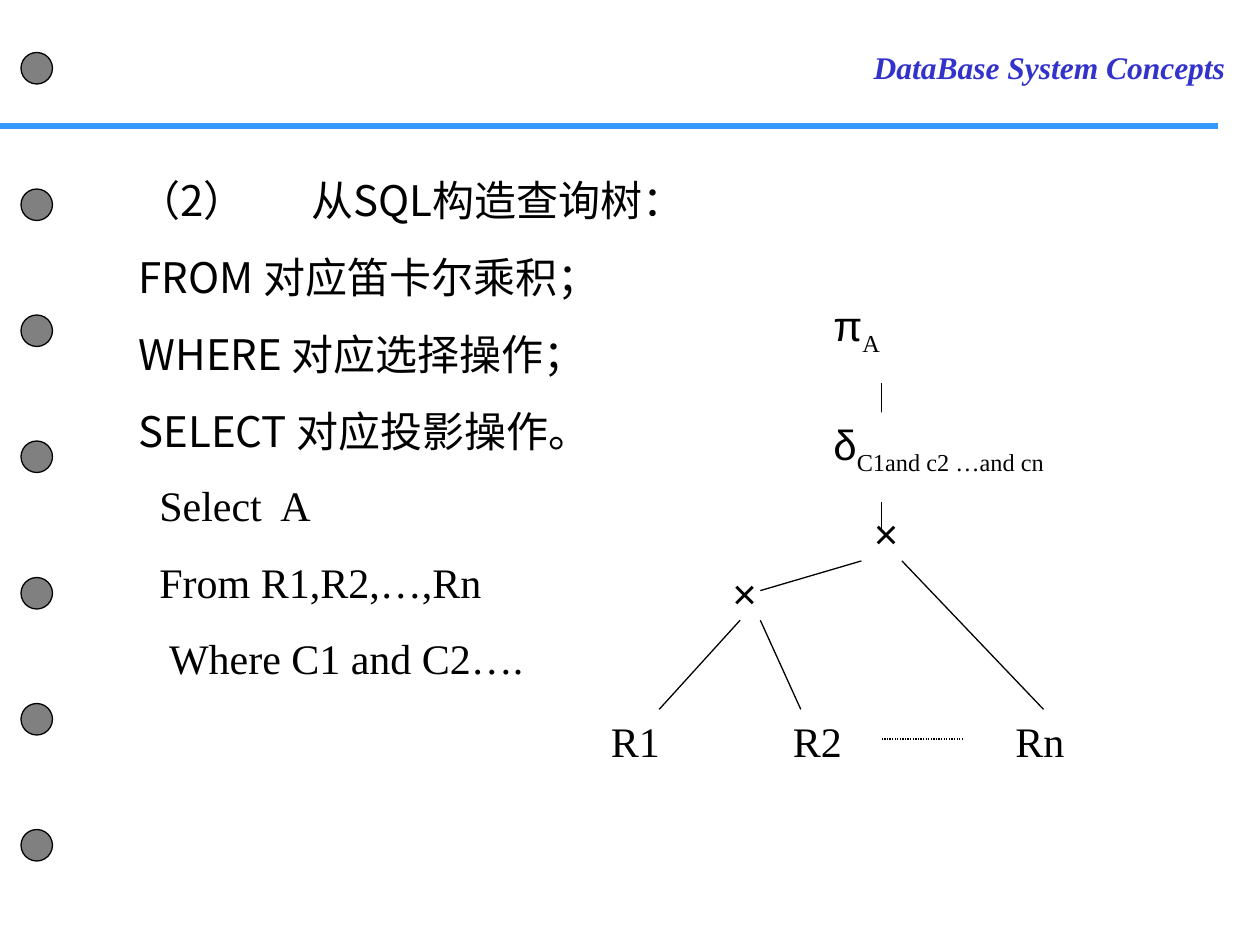
"""Build a slide on turning an SQL statement into a query tree."""
import collections

import pptx
import pptx.dml.color
import pptx.enum.dml
import pptx.enum.shapes
import pptx.enum.text
import pptx.oxml.ns
import pptx.util
from lxml import etree

Pt = pptx.util.Pt
RGB = pptx.dml.color.RGBColor.from_string
ALIGN = pptx.enum.text.PP_ALIGN
COLORS = {"text": "000000", "outline": "000000", "node": "FFFFFF", "hole": "808080",
          "rule": "3399FF", "header": "3333CC"}
SERIF, SANS, CHINESE = "Times New Roman", "Arial", "Noto Sans CJK SC"
LIST_SPACING = {"before": 15, "line": 29}


def write(box, text, font=SERIF, size=24, color="text", bold=False, italic=False,
          align=ALIGN.LEFT, before=0, line=None, subscript=""):
    frame = box.text_frame
    frame.word_wrap = True
    frame.auto_size = pptx.enum.text.MSO_AUTO_SIZE.NONE
    frame.vertical_anchor = pptx.enum.text.MSO_ANCHOR.TOP
    for index, content in enumerate(text.split("\n")):
        para = frame.add_paragraph() if index else frame.paragraphs[0]
        properties = para._p.get_or_add_pPr()
        properties.set("marL", "0")
        properties.set("indent", "0")
        etree.SubElement(properties, pptx.oxml.ns.qn("a:buNone"))
        para.alignment = align
        para.space_before = Pt(before if index else 0)
        if line:
            para.line_spacing = Pt(line)
        for part, face, baseline in ((content, font, 0), (subscript, SERIF, -25000)):
            if not part:
                continue
            span = para.add_run()
            span.text = part
            span.font.name = face
            span.font.size = Pt(size)
            span.font.bold = bold
            span.font.italic = italic
            span.font.color.rgb = RGB(COLORS[color])
            run_properties = span._r.get_or_add_rPr()
            etree.SubElement(run_properties, pptx.oxml.ns.qn("a:ea")).set("typeface", face)
            if baseline:
                run_properties.set("baseline", str(baseline))


def connect(start, end, color="outline", width=0.75):
    connector = page.shapes.add_connector(
        pptx.enum.shapes.MSO_CONNECTOR.STRAIGHT, *(Pt(length) for length in (*start, *end)))
    connector.line.color.rgb = RGB(COLORS[color])
    connector.line.width = Pt(width)
    etree.SubElement(connector._element.spPr, pptx.oxml.ns.qn("a:effectLst"))
    return connector


deck = pptx.Presentation()
deck.slide_width, deck.slide_height = Pt(720), Pt(540)
page = deck.slides.add_slide(deck.slide_layouts[1])

header = page.shapes.title
header.left, header.top, header.width, header.height = Pt(492), Pt(24), Pt(228), Pt(29)
write(header, "DataBase System Concepts", size=18, color="header", bold=True, italic=True)
connect((0, 72), (696, 72), color="rule", width=3)

HOLE_LEFT, HOLE_SIZE = 12, 18
for hole_top in (30, 108, 180, 252, 330, 402, 474):
    hole = page.shapes.add_shape(pptx.enum.shapes.MSO_SHAPE.OVAL, Pt(HOLE_LEFT), Pt(hole_top),
                                 Pt(HOLE_SIZE), Pt(HOLE_SIZE))
    hole.shadow.inherit = False
    hole.fill.solid()
    hole.fill.fore_color.rgb = RGB(COLORS["hole"])
    hole.line.color.rgb = RGB(COLORS["outline"])
    hole.line.width = Pt(0.75)

clauses = page.placeholders[1]
clauses.left, clauses.top, clauses.width, clauses.height = Pt(72), Pt(96), Pt(588), Pt(212)
write(clauses, "（2）\u00a0\u00a0\u00a0\u00a0\u00a0\u00a0 从SQL构造查询树： \nFROM 对应笛卡尔乘积；\n"
      "WHERE 对应选择操作；\nSELECT 对应投影操作。",
      font=CHINESE, align=ALIGN.JUSTIFY, **LIST_SPACING)

query = page.shapes.add_textbox(Pt(84), Pt(270), Pt(582), Pt(124))
write(query, "Select  A\nFrom R1,R2,…,Rn\n Where C1 and C2….", **LIST_SPACING)

TREE_LEFT, TREE_TOP = 342, 167.8
COLUMN, ROW = 11.56, 16.97
NODE_ROWS = 3
LEAF_ROW = 14
Node = collections.namedtuple("Node", "label font column row columns subscript", defaults=[""])
nodes = {
    "projection": Node("π", SANS, column=11, row=0, columns=6, subscript="A"),
    "selection": Node("δ", SANS, column=11, row=4, columns=17, subscript="C1and c2 …and cn"),
    "top product": Node("×", SANS, column=13, row=7, columns=4),
    "inner product": Node("×", SANS, column=6, row=9, columns=4),
    "R1": Node("R1", SERIF, column=0, row=LEAF_ROW, columns=5),
    "R2": Node("R2", SERIF, column=9, row=LEAF_ROW, columns=4),
    "Rn": Node("Rn", SERIF, column=20, row=LEAF_ROW, columns=5),
}
boxes = {}
for name, node in nodes.items():
    box = page.shapes.add_shape(
        pptx.enum.shapes.MSO_SHAPE.RECTANGLE,
        Pt(TREE_LEFT + node.column * COLUMN), Pt(TREE_TOP + node.row * ROW),
        Pt(node.columns * COLUMN), Pt(NODE_ROWS * ROW))
    box.shadow.inherit = False
    box.fill.solid()
    box.fill.fore_color.rgb = RGB(COLORS["node"])
    box.line.fill.background()
    write(box, node.label, font=node.font, align=ALIGN.JUSTIFY, subscript=node.subscript)
    boxes[name] = box

Anchor = collections.namedtuple("Anchor", "node across down")
branches = {
    ("selection", "projection"): (Anchor("selection", 3, 1), Anchor("projection", 3, NODE_ROWS)),
    ("selection", "top product"): (Anchor("selection", 3, NODE_ROWS), Anchor("top product", 1, 1)),
    ("top product", "inner product"): (Anchor("top product", 0, 2), Anchor("inner product", 2, 1)),
    ("top product", "Rn"): (Anchor("top product", 2, 2), Anchor("Rn", 2, 0)),
    ("inner product", "R1"): (Anchor("inner product", 1, 2), Anchor("R1", 3, 0)),
    ("inner product", "R2"): (Anchor("inner product", 2, 2), Anchor("R2", 1, 0)),
    ("R2", "Rn"): (Anchor("R2", 5, 1), Anchor("Rn", -2, 1)),
}
lines = {}
for pair, anchors in branches.items():
    start, end = [(TREE_LEFT + (nodes[anchor.node].column + anchor.across) * COLUMN,
                   TREE_TOP + (nodes[anchor.node].row + anchor.down) * ROW) for anchor in anchors]
    lines[pair] = connect(start, end)

lines["selection", "projection"].end_connect(boxes["projection"], 2)
lines["R2", "Rn"].line.dash_style = pptx.enum.dml.MSO_LINE.ROUND_DOT
page.shapes.element.append(boxes["selection"]._element)

deck.save("out.pptx")
